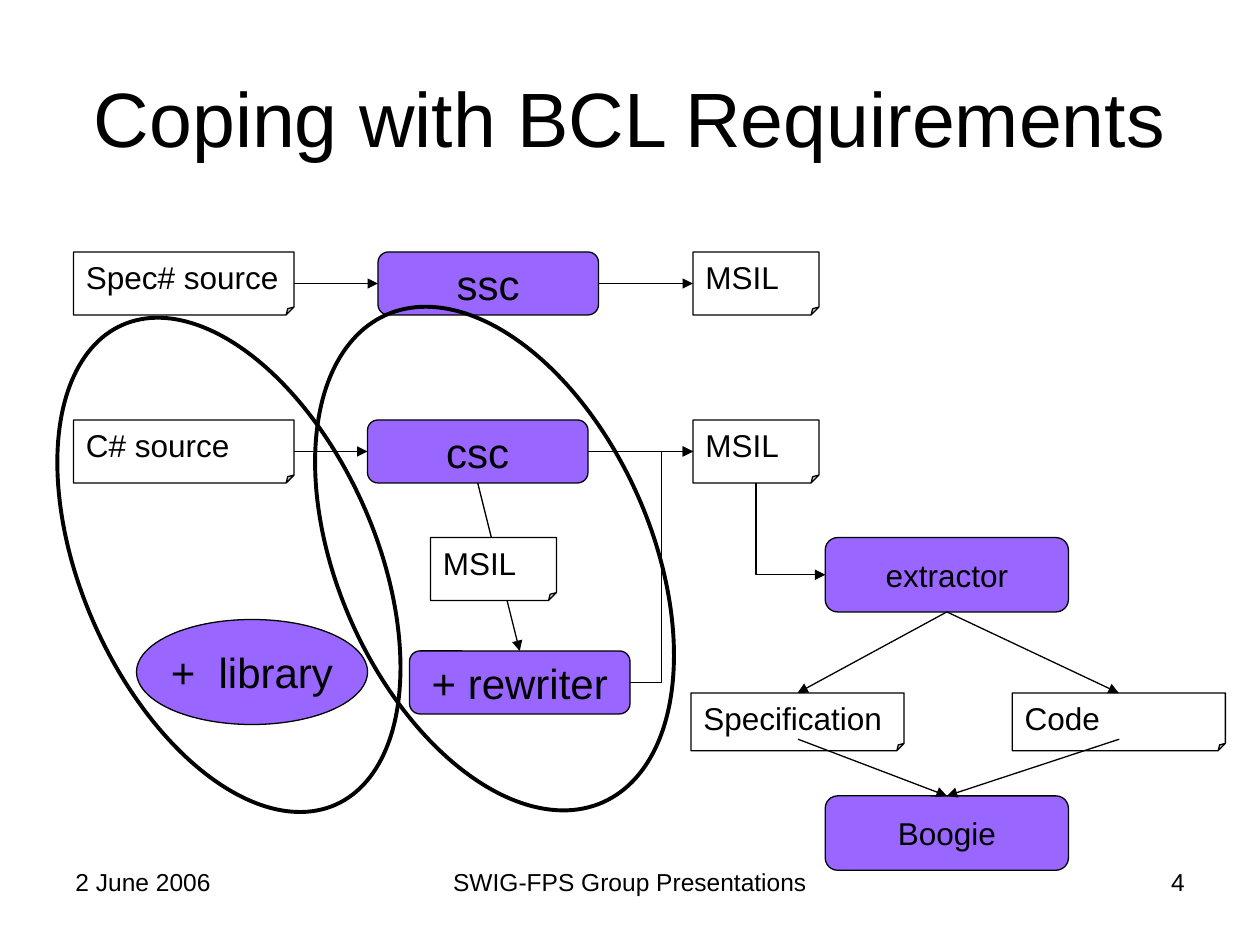
from dataclasses import dataclass

import pptx
import pptx.dml.color
import pptx.enum.shapes
import pptx.enum.text
import pptx.oxml
import pptx.oxml.ns
import pptx.util

SHAPE = pptx.enum.shapes.MSO_SHAPE
LINK = pptx.enum.shapes.MSO_CONNECTOR
ALIGN = pptx.enum.text.PP_ALIGN
ANCHOR = pptx.enum.text.MSO_ANCHOR
TOP, LEFT, BOTTOM, RIGHT = range(4)
BLACK, WHITE, PURPLE = "000000", "FFFFFF", "9966FF"
COLS = 120  # square grid cells of 1/12 inch

prs = pptx.Presentation()
prs.slide_width, prs.slide_height = pptx.util.Inches(10), pptx.util.Inches(7.5)
s = prs.slides.add_slide(prs.slide_layouts[5])


@dataclass
class Node:
    """A labelled box: position and size in grid cells."""
    key: str
    text: str
    x: float
    y: float
    w: float
    h: float
    size: int = 18
    kind: SHAPE = SHAPE.FOLDED_CORNER


def grid(*cells: float) -> list[int]:
    return [round(c * prs.slide_width / COLS) for c in cells]


def rgb(value: str) -> pptx.dml.color.RGBColor:
    return pptx.dml.color.RGBColor.from_string(value)


def add_xml(parent, tag: str, attributes: str = "") -> None:
    parent.append(pptx.oxml.parse_xml(
        f'<a:{tag} {pptx.oxml.ns.nsdecls("a")} {attributes}/>'))


def write(sp, text: str, *, size: float = 18, color: str = BLACK,
          align=ALIGN.LEFT, anchor=ANCHOR.TOP, wrap: bool = True) -> None:
    tf = sp.text_frame
    tf.word_wrap, tf.vertical_anchor = wrap, anchor
    p = tf.paragraphs[0]
    p.alignment = align
    r = p.add_run()
    r.text = text
    r.font.size, r.font.name = pptx.util.Pt(size), "Arial"
    r.font.color.rgb = rgb(color)


def outline(sp, width: float = 0.75) -> None:
    sp.line.color.rgb = rgb(BLACK)
    sp.line.width = pptx.util.Pt(width)


def draw(n: Node):
    sp = s.shapes.add_shape(n.kind, *grid(n.x, n.y, n.w, n.h))
    sp.shadow.inherit = False
    outline(sp)
    sp.fill.solid()
    if n.kind == SHAPE.FOLDED_CORNER:
        # The library lists no adjustment for this preset
        guides = sp._element.spPr.find(".//" + pptx.oxml.ns.qn("a:avLst"))
        add_xml(guides, "gd", 'name="adj" fmla="val 12500"')
        sp.fill.fore_color.rgb = rgb(WHITE)
        write(sp, n.text, size=n.size)
    else:
        sp.fill.fore_color.rgb = rgb(PURPLE)
        write(sp, n.text, size=n.size, align=ALIGN.CENTER, anchor=ANCHOR.MIDDLE, wrap=False)
    return sp


def ring(x: float, y: float, w: float, h: float) -> None:
    sp = s.shapes.add_shape(SHAPE.OVAL, *grid(x, y, w, h))
    sp.shadow.inherit = False
    sp.fill.background()
    sp.rotation = 336
    outline(sp, 2.25)


def arrow(end, end_side: int, start=None, start_side: int = RIGHT,
          at: tuple[float, float] = (0, 0), kind=LINK.STRAIGHT):
    """Arrow into a side of end, from a side of start or from a grid point."""
    c = s.shapes.add_connector(kind, *grid(*at, *at))
    if start is not None:
        c.begin_connect(start, start_side)
    c.end_connect(end, end_side)
    outline(c)
    add_xml(c.line._get_or_add_ln(), "tailEnd", 'type="triangle"')
    add_xml(c._element.spPr, "effectLst")
    return c


def bend_down_then_right(c) -> None:
    """Turn an elbow into one corner: a mirrored bend, rotated by 270 degrees."""
    dx, dy = c.end_x - c.begin_x, c.end_y - c.begin_y
    cx, cy = c.begin_x + dx // 2, c.begin_y + dy // 2
    c.begin_x, c.end_x = cx + dy // 2, cx - dy // 2
    c.begin_y, c.end_y = cy - dx // 2, cy + dx // 2
    spPr = c._element.spPr
    spPr.find(pptx.oxml.ns.qn("a:prstGeom")).set("prst", "bentConnector2")
    spPr.find(pptx.oxml.ns.qn("a:xfrm")).set("rot", str(270 * 60000))


# Title
title = s.shapes.title
title.left, title.top, title.width, title.height = grid(6, 3.6, 108, 15)
write(title, "Coping with BCL Requirements", size=44, align=ALIGN.CENTER, anchor=ANCHOR.MIDDLE)

# Boxes
ROW1, ROW2, WIDE, HIGH = 24, 40, 21, 6
STEP = SHAPE.ROUNDED_RECTANGLE
nodes = [
    Node("msil1", "MSIL", 66, ROW1, 12, HIGH),
    Node("spec source", "Spec# source", 7, ROW1, WIDE, HIGH),
    Node("ssc", "ssc", 36, ROW1, WIDE, HIGH, 24, STEP),
    Node("library", "+  library", 13, 59, 22, 10, 24, SHAPE.OVAL),
    Node("code", "Code", 96.4, 66, 20.3, 5.5),
    Node("extractor", "extractor", 78.6, 51.2, 23.16, 7.08, 18, STEP),
    Node("specification", "Specification", 65.8, 66, 20.3, 5.5),
    Node("boogie", "Boogie", 78.6, 75.8, 23.16, 7.08, 18, STEP),
    Node("msil2", "MSIL", 66, ROW2, 12, HIGH),
    Node("c source", "C# source", 7, ROW2, WIDE, HIGH),
    Node("csc", "csc", 35, ROW2, WIDE, HIGH, 24, STEP),
    Node("rewriter", "+ rewriter", 39, 62, WIDE, HIGH, 24, STEP),
]
box = {n.key: draw(n) for n in nodes}

# Rings around the library and rewriter parts
ring(7.8, 28.8, 28, 50)
ring(32.2, 27.8, 29.8, 50.8)

# Compiler rows
for source, compiler, target in (("spec source", "ssc", "msil1"), ("c source", "csc", "msil2")):
    arrow(box[compiler], LEFT, box[source])
    arrow(box[target], LEFT, box[compiler])

# Rewriter loop, with the intermediate file over its arrow
arrow(box["rewriter"], TOP, box["csc"], BOTTOM)
arrow(box["msil2"], LEFT, box["rewriter"], kind=LINK.ELBOW)
draw(Node("msil3", "MSIL", 41, 51.2, 12, HIGH))

# Extractor to Boogie
bend_down_then_right(arrow(box["extractor"], LEFT, box["msil2"], BOTTOM, kind=LINK.ELBOW))
for key, x in (("specification", 76), ("code", 106.6)):
    arrow(box[key], TOP, box["extractor"], BOTTOM)
    arrow(box["boogie"], TOP, at=(x, 70.4))

# Footer
for text, x, w, align in (("2 June 2006", 6, 28, ALIGN.LEFT),
                          ("SWIG-FPS Group Presentations", 41, 38, ALIGN.CENTER),
                          ("4", 86, 28, ALIGN.RIGHT)):
    write(s.shapes.add_textbox(*grid(x, 82, w, 6.2)), text, size=14, align=align)

prs.save("out.pptx")
